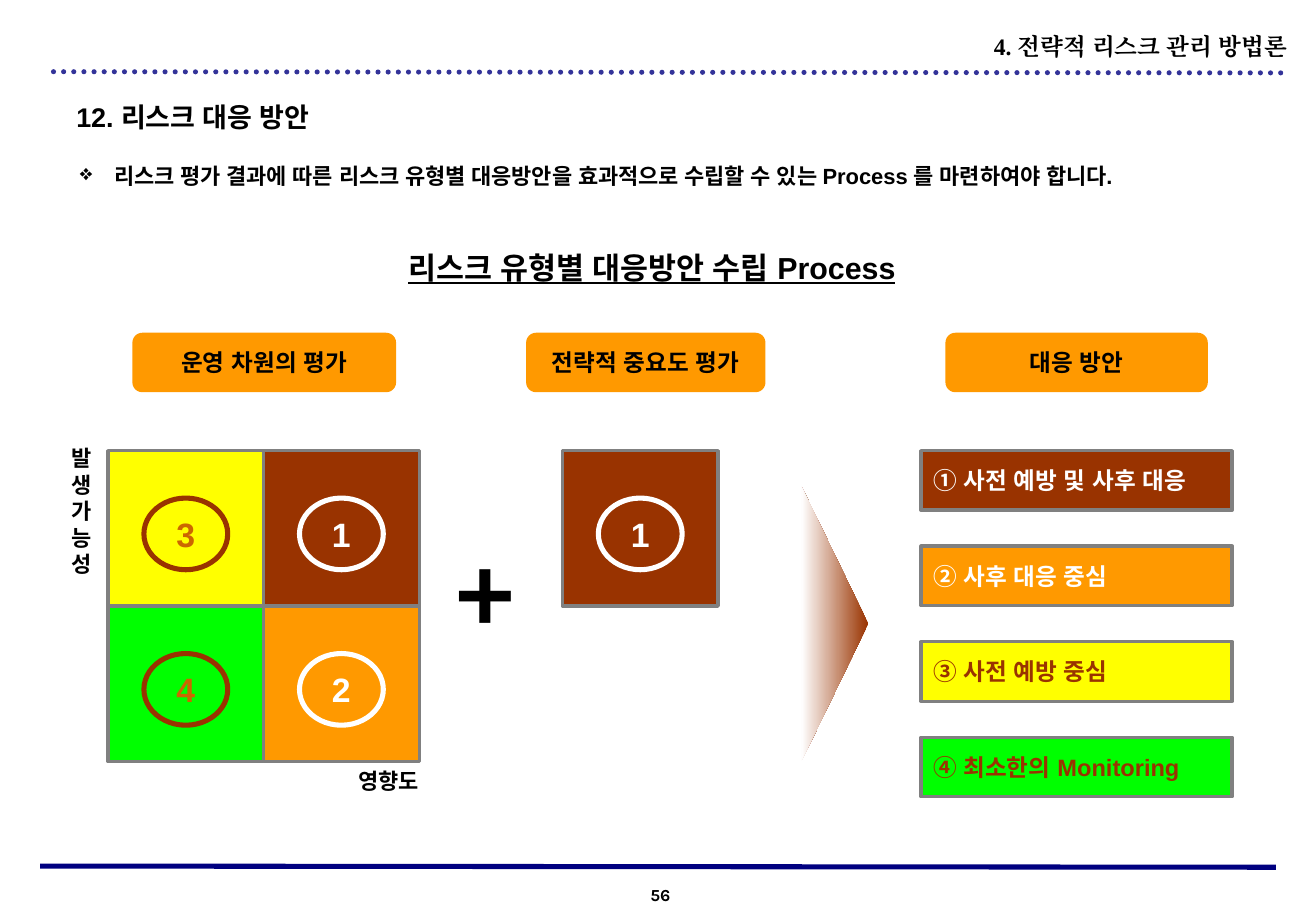
from lxml import etree
from pptx import Presentation
from pptx import util as u
from pptx.dml.color import RGBColor
from pptx.enum import dml, lang, shapes, text
from pptx.oxml.ns import qn

deck = Presentation()
deck.slide_width, deck.slide_height = u.Inches(10.83), u.Inches(7.5)
COL, ROW = deck.slide_width / 100, deck.slide_height / 100
slide = deck.slides.add_slide(deck.slide_layouts[6])

KIND, ALIGN, ANCHOR = shapes.MSO_SHAPE, text.PP_ALIGN, text.MSO_ANCHOR
BROWN, ORANGE, YELLOW, GREEN = "993300", "FF9900", "FFFF00", "00FF00"
WHITE, BLACK, GRAY, RUST = "FFFFFF", "000000", "808080", "CC6600"


def hue(code):
    return RGBColor.from_string(code)


def put(words, at, kind=None, fill=None, edge=None, weight=2, size=14, color=BLACK,
        face="Arial", align=ALIGN.LEFT, anchor=ANCHOR.TOP, underline=False,
        pitch=None, bullet=None):
    left, top, width, height = at
    box = [int(left * COL), int(top * ROW), int(width * COL), int(height * ROW)]
    if kind is None:
        item = slide.shapes.add_textbox(*box)
    else:
        item = slide.shapes.add_shape(kind, *box)
        item.shadow.inherit = False
        if fill:
            item.fill.solid()
            item.fill.fore_color.rgb = hue(fill)
        else:
            item.fill.background()
        if edge:
            item.line.color.rgb = hue(edge)
            item.line.width = u.Pt(weight)
        else:
            item.line.fill.background()
    frame = item.text_frame
    frame.word_wrap = True
    frame.vertical_anchor = anchor
    for index, line in enumerate(words.split("\n") if words else []):
        para = frame.add_paragraph() if index else frame.paragraphs[0]
        para.alignment = align
        if pitch:
            para.line_spacing = u.Pt(pitch)
        if bullet:
            props = para._p.get_or_add_pPr()
            hang = int(2.6 * COL)
            props.set("marL", str(hang))
            props.set("indent", str(-hang))
            etree.SubElement(props, qn("a:buChar")).set("char", bullet)
        run = para.add_run()
        run.text = line
        font = run.font
        font.name, font.size, font.bold = face, u.Pt(size), True
        font.underline = underline or None
        font.color.rgb = hue(color)
        font.language_id = lang.MSO_LANGUAGE_ID.KOREAN
        etree.SubElement(run._r.rPr, qn("a:ea")).set("typeface", face)
    return item


put("56", (46.26, 96.4, 7.85, 3.6), size=10, face="Karla", align=ALIGN.CENTER)

for start_col, start_row, end_col, end_row, color, dash in [
    (96.95, 95.2, 3.05, 95.07, "000080", None),
    (97.32, 8, 3.51, 7.87, "333399", dml.MSO_LINE.ROUND_DOT),
]:
    rule = slide.shapes.add_connector(
        shapes.MSO_CONNECTOR.STRAIGHT, int(start_col * COL), int(start_row * ROW),
        int(end_col * COL), int(end_row * ROW))
    rule.line.color.rgb = hue(color)
    rule.line.width = u.Pt(3)
    if dash:
        rule.line.dash_style = dash
        rule.line._ln.set("cap", "rnd")
    etree.SubElement(rule._element.spPr, qn("a:effectLst"))

put("4. 전략적 리스크 관리 방법론", (70, 2.8, 28.71, 4.4), face="Times New Roman",
    align=ALIGN.RIGHT)
put("12. 리스크 대응 방안", (4.89, 10.4, 44.41, 4.93), size=16)
put("리스크 평가 결과에 따른 리스크 유형별 대응방안을 효과적으로 수립할 수 있는 Process 를 마련하여야 합니다.",
    (5.17, 17.2, 88.46, 6.53), size=13, bullet="❖")
put("리스크 유형별 대응방안 수립 Process", (28.16, 26.13, 42.75, 6.53), size=18,
    align=ALIGN.CENTER, anchor=ANCHOR.MIDDLE, underline=True)

for stage, left, width in [("운영 차원의 평가", 10.06, 20.04),
                           ("전략적 중요도 평가", 39.98, 18.19),
                           ("대응 방안", 71.84, 19.94)]:
    put(stage, (left, 36.53, width, 6.53), KIND.ROUNDED_RECTANGLE, ORANGE,
        align=ALIGN.CENTER, anchor=ANCHOR.MIDDLE)

put("발\n생\n가\n능\n성", (4.52, 48.13, 4.52, 15.87), size=13, pitch=15.7)
put("영향도", (12.74, 83.6, 19.94, 4.27), size=13, align=ALIGN.RIGHT)

CELL_W, CELL_H = 11.82, 17.07
MATRIX_LEFT, MATRIX_TOP = 8.22, 49.47
MATRIX_RIGHT, MATRIX_LOW = MATRIX_LEFT + CELL_W, MATRIX_TOP + CELL_H
for rank, left, top, fill, ring, color in [
    ("4", MATRIX_LEFT, MATRIX_LOW, GREEN, BROWN, RUST),
    ("3", MATRIX_LEFT, MATRIX_TOP, YELLOW, BROWN, RUST),
    ("1", MATRIX_RIGHT, MATRIX_TOP, BROWN, WHITE, WHITE),
    ("2", MATRIX_RIGHT, MATRIX_LOW, ORANGE, WHITE, WHITE),
    ("1", 42.75, MATRIX_TOP, BROWN, WHITE, WHITE),
]:
    put("", (left, top, CELL_W, CELL_H), KIND.RECTANGLE, fill, GRAY)
    put(rank, (left + 2.72, top + 5.2, 6.37, 7.87), KIND.OVAL, edge=ring, weight=3,
        size=20, color=color, align=ALIGN.CENTER, anchor=ANCHOR.MIDDLE)

put("+", (33.7, 57.87, 6.28, 14.67), size=60, face="Noto Sans CJK KR",
    anchor=ANCHOR.MIDDLE)

arrow = put("", (53, 64.8, 20.87, 7.33), KIND.ISOSCELES_TRIANGLE)
arrow.rotation = 90
arrow.fill.gradient()
arrow.fill.gradient_angle = 270
for stop, color in zip(arrow.fill.gradient_stops, (BROWN, WHITE)):
    stop.color.rgb = hue(color)

for order, (response, fill, color) in enumerate([
    ("① 사전 예방 및 사후 대응", BROWN, WHITE),
    ("② 사후 대응 중심", ORANGE, WHITE),
    ("③ 사전 예방 중심", YELLOW, BROWN),
    ("④ 최소한의 Monitoring", GREEN, BROWN),
]):
    put(response, (69.99, MATRIX_TOP + order * 10.49, 23.64, 6.53), KIND.RECTANGLE,
        fill, GRAY, color=color, anchor=ANCHOR.MIDDLE)

deck.save("out.pptx")
